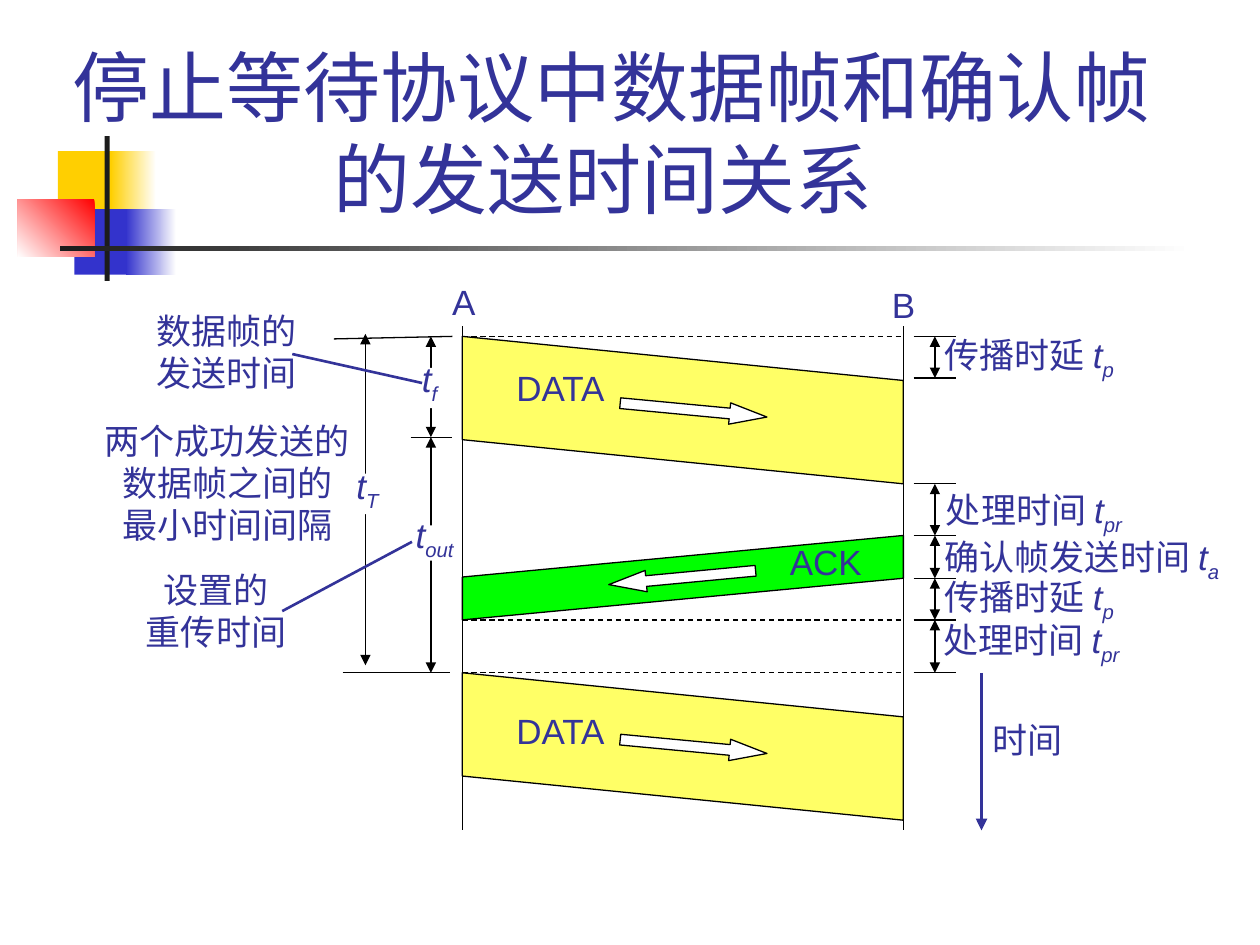
from dataclasses import dataclass
from itertools import pairwise

from lxml.etree import SubElement
from pptx import Presentation
from pptx.dml.color import RGBColor
from pptx.enum.dml import MSO_LINE
from pptx.enum.shapes import MSO_CONNECTOR, MSO_SHAPE
from pptx.enum.text import MSO_ANCHOR, MSO_AUTO_SIZE, PP_ALIGN
from pptx.oxml.ns import qn
from pptx.util import Inches, Pt


@dataclass(frozen=True)
class Theme:
    font: str = "Arial"
    title_size: float = 44
    label_size: float = 20
    thin: float = 0.75
    pointer: float = 1.5
    thick: float = 2.25
    text: str = "333399"
    ink: str = "000000"
    paper: str = "FFFFFF"
    data: str = "FFFF66"
    ack: str = "00FF00"
    yellow: str = "FFCF01"
    blue: str = "3333CC"
    red: str = "FF0000"
    dark: str = "1C1C1C"


def assign(target, values):
    for name, value in values.items():
        setattr(target, name, value)


class Diagram:
    """Draws on one slide; lengths are columns and rows of its grid."""

    COLUMNS, ROWS = 10, 7.5
    SLACK = 0.1  # spare label width, so that no line breaks by itself

    def __init__(self, presentation, theme):
        self.theme = theme
        self.slide = presentation.slides.add_slide(presentation.slide_layouts[5])
        self.column = presentation.slide_width / self.COLUMNS
        self.row = presentation.slide_height / self.ROWS

    def place(self, *lengths):
        units = (self.column, self.row) * 2
        return [round(length * unit) for length, unit in zip(lengths, units)]

    def format_run(self, run, size, italic=False):
        assign(run.font, {"name": self.theme.font, "size": Pt(size), "italic": italic})
        run.font.color.rgb = RGBColor.from_string(self.theme.text)

    def title(self, text, *box):
        shape = self.slide.shapes.title
        assign(shape, dict(zip(("left", "top", "width", "height"), self.place(*box))))
        assign(shape.text_frame, {"vertical_anchor": MSO_ANCHOR.BOTTOM,
                                  "auto_size": MSO_AUTO_SIZE.NONE, "word_wrap": True})
        paragraph = shape.text_frame.paragraphs[0]
        paragraph.alignment = PP_ALIGN.CENTER
        run = paragraph.add_run()
        run.text = text
        self.format_run(run, self.theme.title_size)

    def label(self, text, left, top, width, symbol="", subscript="", align=PP_ALIGN.LEFT):
        lines = text.split("\n")
        height = (0.48 if symbol else 0.44) + 0.33 * (len(lines) - 1)
        if align == PP_ALIGN.CENTER:
            left -= self.SLACK / 2
        box = self.place(left, top, width + self.SLACK, height)
        frame = self.slide.shapes.add_textbox(*box).text_frame
        assign(frame, {"word_wrap": True, "auto_size": MSO_AUTO_SIZE.SHAPE_TO_FIT_TEXT})
        for index, line in enumerate(lines):
            paragraph = frame.add_paragraph() if index else frame.paragraphs[0]
            paragraph.alignment = align
            parts = [(line, False, 0), (symbol, True, 0), (subscript, True, -25000)]
            for part, italic, baseline in parts:
                if part:
                    run = paragraph.add_run()
                    run.text = part
                    self.format_run(run, self.theme.label_size, italic)
                    if baseline:
                        run.font._element.set("baseline", str(baseline))

    def shape(self, kind, box, color, fade=None, angle=180, outline=False,
              rotation=0, flips="", adjustments=()):
        shape = self.slide.shapes.add_shape(kind, *self.place(*box))
        shape.shadow.inherit = False
        if fade:
            shape.fill.gradient()
            shape.fill.gradient_angle = angle
            for stop, stop_color in zip(shape.fill.gradient_stops, (color, fade)):
                stop.color.rgb = RGBColor.from_string(stop_color)
        else:
            shape.fill.solid()
            shape.fill.fore_color.rgb = RGBColor.from_string(color)
        if outline:
            shape.line.color.rgb = RGBColor.from_string(self.theme.ink)
            shape.line.width = Pt(self.theme.thin)
        else:
            shape.line.fill.background()
        for index, value in enumerate(adjustments):
            shape.adjustments[index] = value
        shape.rotation = rotation
        for axis in flips:
            shape._element.spPr.find(qn("a:xfrm")).set("flip" + axis, "1")

    def band(self, top, height, skew, color, rotation, flips):
        """A slanted frame between the two time axes, as a turned parallelogram."""
        length = RIGHT_AXIS - LEFT_AXIS
        box = ((LEFT_AXIS + RIGHT_AXIS - height) / 2, top + (height - length) / 2,
               height, length)
        self.shape(MSO_SHAPE.PARALLELOGRAM, box, color, outline=True,
                   rotation=rotation, flips=flips, adjustments=[skew / height])

    def block_arrow(self, left, top, rotation, flips=""):
        self.shape(MSO_SHAPE.RIGHT_ARROW, (left, top, 1.17, 0.17), self.theme.paper,
                   outline=True, rotation=rotation, flips=flips, adjustments=[0.5, 1.75])

    def line(self, start, end, color=None, width=None, dashed=False, arrows=()):
        connector = self.slide.shapes.add_connector(
            MSO_CONNECTOR.STRAIGHT, *self.place(*start, *end))
        connector.line.color.rgb = RGBColor.from_string(color or self.theme.ink)
        connector.line.width = Pt(width or self.theme.thin)
        if dashed:
            connector.line.dash_style = MSO_LINE.DASH
        properties = connector._element.spPr
        for arrow in arrows:
            SubElement(properties.find(qn("a:ln")), qn("a:" + arrow)).set("type", "triangle")
        SubElement(properties, qn("a:effectLst"))

    def span(self, x, top, bottom):
        self.line((x, top), (x, bottom), arrows=("headEnd", "tailEnd"))


# Time axes and the moments marked on them
LEFT_AXIS, RIGHT_AXIS = 3.67, 7.17
AXIS_TOP, AXIS_BOTTOM = 2.59, 6.59
SENT, FIRST_BIT, FRAME_END, RECEIVED = 2.67, 3.0, 3.47, 3.84
ACK_START, ACK_END, ACK_ARRIVED, NEXT_SENT = 4.25, 4.59, 4.92, 5.34


def main():
    theme = Theme()
    presentation = Presentation()
    assign(presentation, {"slide_width": Inches(10), "slide_height": Inches(7.5)})
    diagram = Diagram(presentation, theme)
    rectangle = MSO_SHAPE.RECTANGLE

    # Corner ornament and title
    for box, color, fade, angle in [
        ((0.46, 1.2, 0.48, 0.52), theme.yellow, None, 0),
        ((0.88, 1.2, 0.36, 0.52), theme.paper, theme.yellow, 180),
        ((0.59, 1.66, 0.46, 0.52), theme.blue, None, 0),
        ((1, 1.66, 0.4, 0.52), theme.paper, theme.blue, 180),
        ((0.14, 1.58, 0.61, 0.46), theme.red, theme.paper, 225),
        ((0.83, 1.08, 0.04, 1.15), theme.dark, None, 0),
        ((0.48, 1.95, 9, 0.04), theme.paper, theme.dark, 180),
    ]:
        diagram.shape(rectangle, box, color, fade, angle)
    diagram.title("停止等待协议中数据帧和确认帧的发送时间关系 ", 0.35, 0.23, 9.02, 1.6)

    # Frames travelling between A and B
    for top in (SENT, NEXT_SENT):
        diagram.band(top, 1.17, 0.35, theme.data, 270, "HV")
        diagram.block_arrow(4.92, top + 0.5, 5.4)
    diagram.band(ACK_START, 0.67, 0.33, theme.ack, 90, "V")
    diagram.block_arrow(4.83, 4.5, 354.6, "H")
    for text, left, top, width in [("DATA", 4, 2.86, 0.94), ("DATA", 4, 5.58, 0.94),
                                   ("ACK", 6.17, 4.24, 0.77), ("A", 3.49, 2.18, 0.38),
                                   ("B", 6.98, 2.2, 0.38), ("时间", 7.78, 5.65, 0.75)]:
        diagram.label(text, left, top, width)

    # Axes, level lines and the direction of time
    for x in (LEFT_AXIS, RIGHT_AXIS):
        diagram.line((x, AXIS_TOP), (x, AXIS_BOTTOM))
    for y in (SENT, ACK_ARRIVED, NEXT_SENT):
        diagram.line((LEFT_AXIS, y), (RIGHT_AXIS, y), dashed=True)
    diagram.line((7.79, NEXT_SENT), (7.79, AXIS_BOTTOM), theme.text, theme.thick,
                 arrows=["tailEnd"])

    # Intervals at B
    for moments in ((SENT, FIRST_BIT),
                    (RECEIVED, ACK_START, ACK_END, ACK_ARRIVED, NEXT_SENT)):
        for y in moments:
            diagram.line((7.25, y), (7.59, y))
        for top, bottom in pairwise(moments):
            diagram.span(7.42, top, bottom)
    for text, left, top, width, subscript in [
        ("传播时延 ", 7.4, 2.6, 1.61, "p"),
        ("处理时间 ", 7.41, 3.83, 1.66, "pr"),
        ("确认帧发送时间 ", 7.4, 4.2, 2.44, "a"),
        ("传播时延 ", 7.4, 4.52, 1.61, "p"),
        ("处理时间 ", 7.39, 4.86, 1.66, "pr"),
    ]:
        diagram.label(text, left, top, width, "t", subscript)

    # Intervals at A, each symbol on a patch that interrupts its arrow
    for start, end in [((2.65, 2.69), (3.59, SENT)), ((3.26, FRAME_END), (3.59, FRAME_END)),
                       ((2.72, NEXT_SENT), (3.57, NEXT_SENT))]:
        diagram.line(start, end)
    for x, top, bottom, patch, label_box, subscript in [
        (3.42, SENT, FRAME_END, (3.29, 2.92, 0.23, 0.32), (3.25, 2.79, 0.32), "f"),
        (3.42, FRAME_END, NEXT_SENT, (3.3, 4.17, 0.33, 0.28), (3.2, 4.03, 0.5), "out"),
        (2.9, 2.65, 5.28, (2.74, 3.76, 0.29, 0.32), (2.73, 3.64, 0.37), "T"),
    ]:
        diagram.span(x, top, bottom)
        diagram.shape(rectangle, patch, theme.paper)
        diagram.label("", *label_box, "t", subscript)

    # Explanations with pointers
    for text, left, top, width, align in [
        ("数据帧的\n发送时间", 1.14, 2.41, 1.31, PP_ALIGN.LEFT),
        ("两个成功发送的\n数据帧之间的\n最小时间间隔", 0.73, 3.28, 2.15, PP_ALIGN.CENTER),
        ("设置的\n重传时间", 1.06, 4.46, 1.31, PP_ALIGN.CENTER),
    ]:
        diagram.label(text, left, top, width, align=align)
    for start, end in [((2.32, 2.81), (3.35, 3.04)), ((2.24, 4.85), (3.27, 4.3))]:
        diagram.line(start, end, theme.text, theme.pointer)

    presentation.save("out.pptx")


if __name__ == "__main__":
    main()
